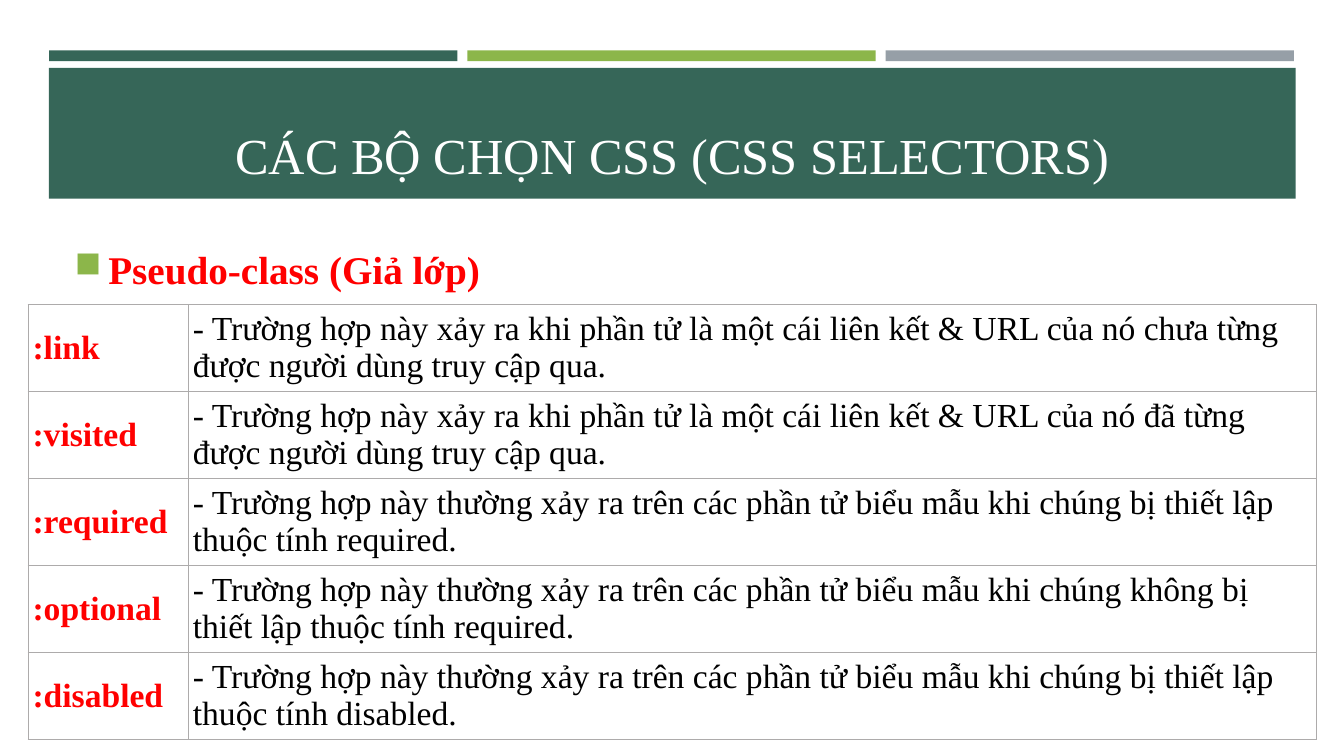
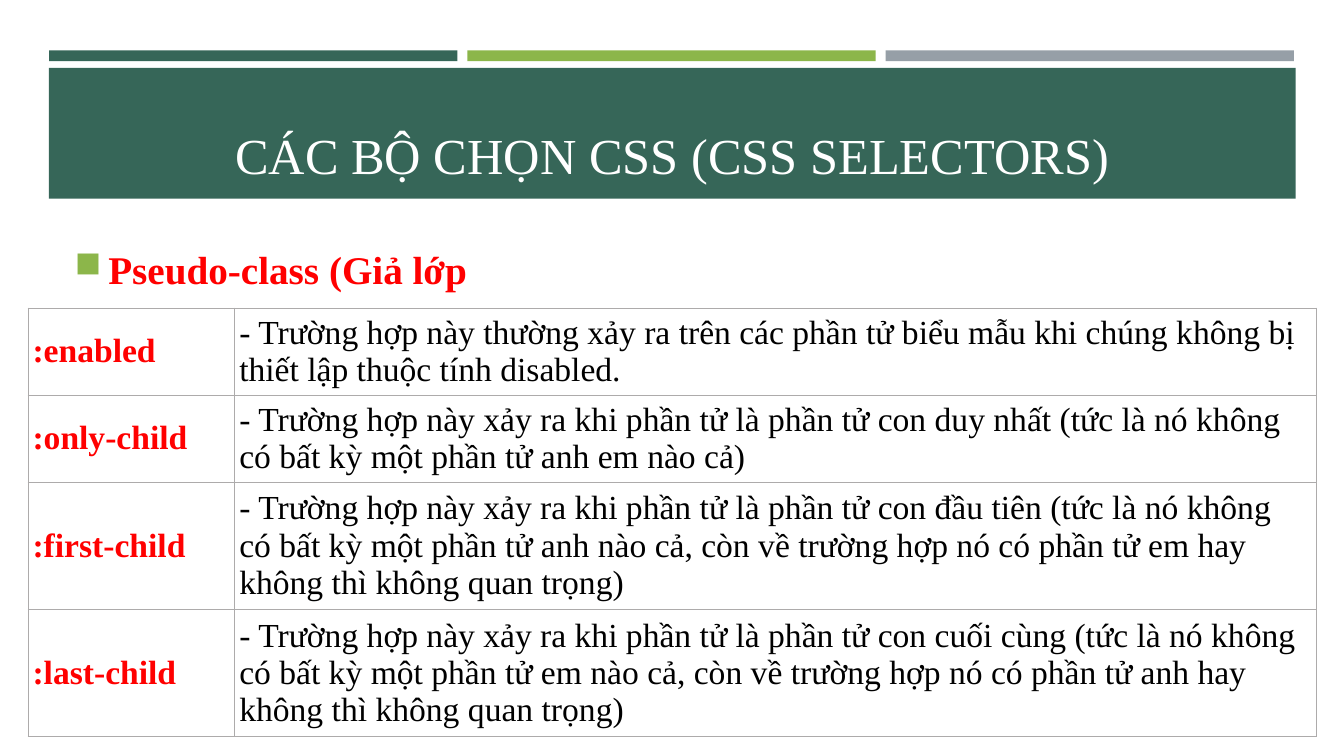
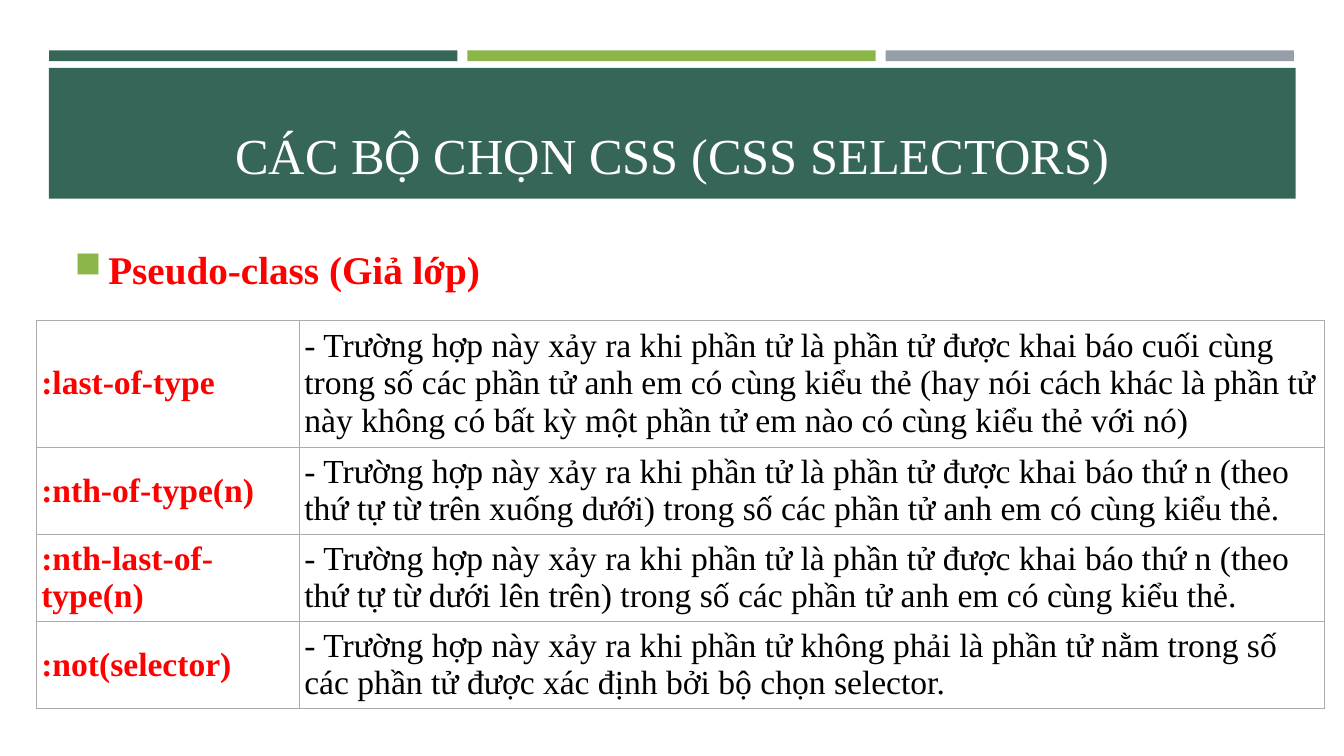
import pptx
import pptx.dml.color
import pptx.enum.shapes
import pptx.enum.text
import pptx.oxml
import pptx.oxml.ns
import pptx.util
from pptx.util import Cm

COLORS = {
    "green": "366658",
    "lime": "8CB64A",
    "gray": "969FA7",
    "red": "FF0000",
    "black": "000000",
    "white": "FFFFFF",
    "border": "ADABAB",
}
FONT = "Times New Roman"
TITLE = "CÁC BỘ CHỌN CSS (CSS SELECTORS)"

# Boxes are left, top, width, height in centimetres
SLIDE_SIZE = (33.87, 19.05)
STRIPS_BOX = (1.24, 1.27, 31.37, 0.27)
STRIP_GAP = 0.25
BAND_BOX = (1.23, 1.71, 31.42, 3.3)
TITLE_BOX = (1.63, 1.96, 30.63, 2.82)
HEADING_BOX = (1.63, 6.05, 30.63, 12.01)
TABLE_WIDTH = 32.46
ROW_HEIGHTS = (1.85, 1.6, 2.11, 1.35, 1.35)  # rows grow to fit their text

# Heading, table left and top, name column width, rows
SLIDES = [
    ("Pseudo-class (Giả lớp)", 0.7, 7.67, 4.04, [
        (":link", "- Trường hợp này xảy ra khi phần tử là một cái liên kết & URL của nó "
                  "chưa từng được người dùng truy cập qua."),
        (":visited", "- Trường hợp này xảy ra khi phần tử là một cái liên kết & URL của nó "
                     "đã từng được người dùng truy cập qua."),
        (":required", "- Trường hợp này thường xảy ra trên các phần tử biểu mẫu khi chúng "
                      "bị thiết lập thuộc tính required."),
        (":optional", "- Trường hợp này thường xảy ra trên các phần tử biểu mẫu khi chúng "
                      "không bị thiết lập thuộc tính required."),
        (":disabled", "- Trường hợp này thường xảy ra trên các phần tử biểu mẫu khi chúng "
                      "bị thiết lập thuộc tính disabled."),
    ]),
    ("Pseudo-class (Giả lớp", 0.7, 7.76, 5.21, [
        (":enabled", "- Trường hợp này thường xảy ra trên các phần tử biểu mẫu khi chúng "
                     "không bị thiết lập thuộc tính disabled."),
        (":only-child", "- Trường hợp này xảy ra khi phần tử là phần tử con duy nhất "
                        "(tức là nó không có bất kỳ một phần tử anh em nào cả)"),
        (":first-child", "- Trường hợp này xảy ra khi phần tử là phần tử con đầu tiên "
                         "(tức là nó không có bất kỳ một phần tử anh nào cả, còn về trường hợp "
                         "nó có phần tử em hay không thì không quan trọng)"),
        (":last-child", "- Trường hợp này xảy ra khi phần tử là phần tử con cuối cùng "
                        "(tức là nó không có bất kỳ một phần tử em nào cả, còn về trường hợp "
                        "nó có phần tử anh hay không thì không quan trọng)"),
    ]),
    ("Pseudo-class (Giả lớp)", 0.92, 8.06, 6.63, [
        (":last-of-type", "- Trường hợp này xảy ra khi phần tử là phần tử được khai báo cuối cùng "
                          "trong số các phần tử anh em có cùng kiểu thẻ (hay nói cách khác là "
                          "phần tử này không có bất kỳ một phần tử em nào có cùng kiểu thẻ với nó)"),
        (":nth-of-type(n)", "- Trường hợp này xảy ra khi phần tử là phần tử được khai báo thứ n "
                            "(theo thứ tự từ trên xuống dưới) trong số các phần tử anh em "
                            "có cùng kiểu thẻ."),
        (":nth-last-of-type(n)", "- Trường hợp này xảy ra khi phần tử là phần tử được khai báo thứ n "
                                 "(theo thứ tự từ dưới lên trên) trong số các phần tử anh em "
                                 "có cùng kiểu thẻ."),
        (":not(selector)", "- Trường hợp này xảy ra khi phần tử không phải là phần tử nằm trong số "
                           "các phần tử được xác định bởi bộ chọn selector."),
    ]),
]


def rgb(name):
    return pptx.dml.color.RGBColor.from_string(COLORS[name])


def write_text(text_frame, text, size=24, color="black", bold=False, align=None):
    """Fill a text frame with one formatted paragraph and return it."""
    text_frame.word_wrap = True
    paragraph = text_frame.paragraphs[0]
    paragraph.alignment = align
    run = paragraph.add_run()
    run.text = text
    run.font.name = FONT
    run.font.size = pptx.util.Pt(size)
    run.font.bold = bold
    run.font.color.rgb = rgb(color)
    return paragraph


def add_bar(slide, box, color):
    shape = slide.shapes.add_shape(
        pptx.enum.shapes.MSO_SHAPE.RECTANGLE, *map(Cm, box))
    shape.shadow.inherit = False
    shape.fill.solid()
    shape.fill.fore_color.rgb = rgb(color)
    shape.line.fill.background()


def add_strips(slide, box):
    """Three equal strips across the box."""
    left, top, width, height = box
    strip_colors = ("green", "lime", "gray")
    count = len(strip_colors)
    strip_width = (width - STRIP_GAP * (count - 1)) / count
    for index, color in enumerate(strip_colors):
        strip_left = left + index * (strip_width + STRIP_GAP)
        add_bar(slide, (strip_left, top, strip_width, height), color)


def add_title(slide, box):
    text_frame = slide.shapes.add_textbox(*map(Cm, box)).text_frame
    text_frame.vertical_anchor = pptx.enum.text.MSO_ANCHOR.BOTTOM
    write_text(text_frame, TITLE, size=36, color="white",
               align=pptx.enum.text.PP_ALIGN.CENTER)


def add_heading(slide, box, text):
    text_frame = slide.shapes.add_textbox(*map(Cm, box)).text_frame
    paragraph = write_text(text_frame, text, size=28, color="red", bold=True)
    paragraph.space_before = pptx.util.Pt(5.6)
    paragraph.space_after = pptx.util.Pt(6)
    # Square bullet with hanging indent
    properties = paragraph._p.get_or_add_pPr()
    properties.set("marL", str(Cm(0.85)))
    properties.set("indent", str(-Cm(0.85)))
    namespace = pptx.oxml.ns.nsdecls("a")
    for bullet in (
        f'<a:buClr {namespace}><a:srgbClr val="{COLORS["lime"]}"/></a:buClr>',
        f'<a:buSzPct {namespace} val="92000"/>',
        f'<a:buChar {namespace} char="■"/>',
    ):
        properties.append(pptx.oxml.parse_xml(bullet))


def format_cell(cell):
    # Borders come before the fill in the cell properties
    properties = cell._tc.get_or_add_tcPr()
    for side in ("lnL", "lnR", "lnT", "lnB"):
        properties.append(pptx.oxml.parse_xml(
            f'<a:{side} {pptx.oxml.ns.nsdecls("a")} w="{pptx.util.Pt(0.43)}">'
            f'<a:solidFill><a:srgbClr val="{COLORS["border"]}"/></a:solidFill></a:{side}>'))
    cell.fill.solid()
    cell.fill.fore_color.rgb = rgb("white")
    cell.vertical_anchor = pptx.enum.text.MSO_ANCHOR.MIDDLE
    cell.margin_left = cell.margin_right = Cm(0.12)
    cell.margin_top = cell.margin_bottom = Cm(0.08)


def add_selector_table(slide, left, top, name_width, rows):
    heights = ROW_HEIGHTS[:len(rows)]
    table = slide.shapes.add_table(
        len(rows), 2, Cm(left), Cm(top), Cm(TABLE_WIDTH), Cm(sum(heights))).table
    table.first_row = table.horz_banding = False
    table.columns[0].width = Cm(name_width)
    table.columns[1].width = Cm(TABLE_WIDTH - name_width)
    for index, (name, description) in enumerate(rows):
        table.rows[index].height = Cm(heights[index])
        name_cell, description_cell = table.rows[index].cells
        format_cell(name_cell)
        format_cell(description_cell)
        write_text(name_cell.text_frame, name, color="red", bold=True)
        write_text(description_cell.text_frame, description)


def add_selector_slide(presentation, heading, left, top, name_width, rows):
    slide = presentation.slides.add_slide(presentation.slide_layouts[6])
    # Shared header
    add_strips(slide, STRIPS_BOX)
    add_bar(slide, BAND_BOX, "green")
    add_title(slide, TITLE_BOX)
    # Content
    add_heading(slide, HEADING_BOX, heading)
    add_selector_table(slide, left, top, name_width, rows)


def main():
    presentation = pptx.Presentation()
    presentation.slide_width, presentation.slide_height = map(Cm, SLIDE_SIZE)
    for content in SLIDES:
        add_selector_slide(presentation, *content)
    presentation.save("out.pptx")


if __name__ == "__main__":
    main()
